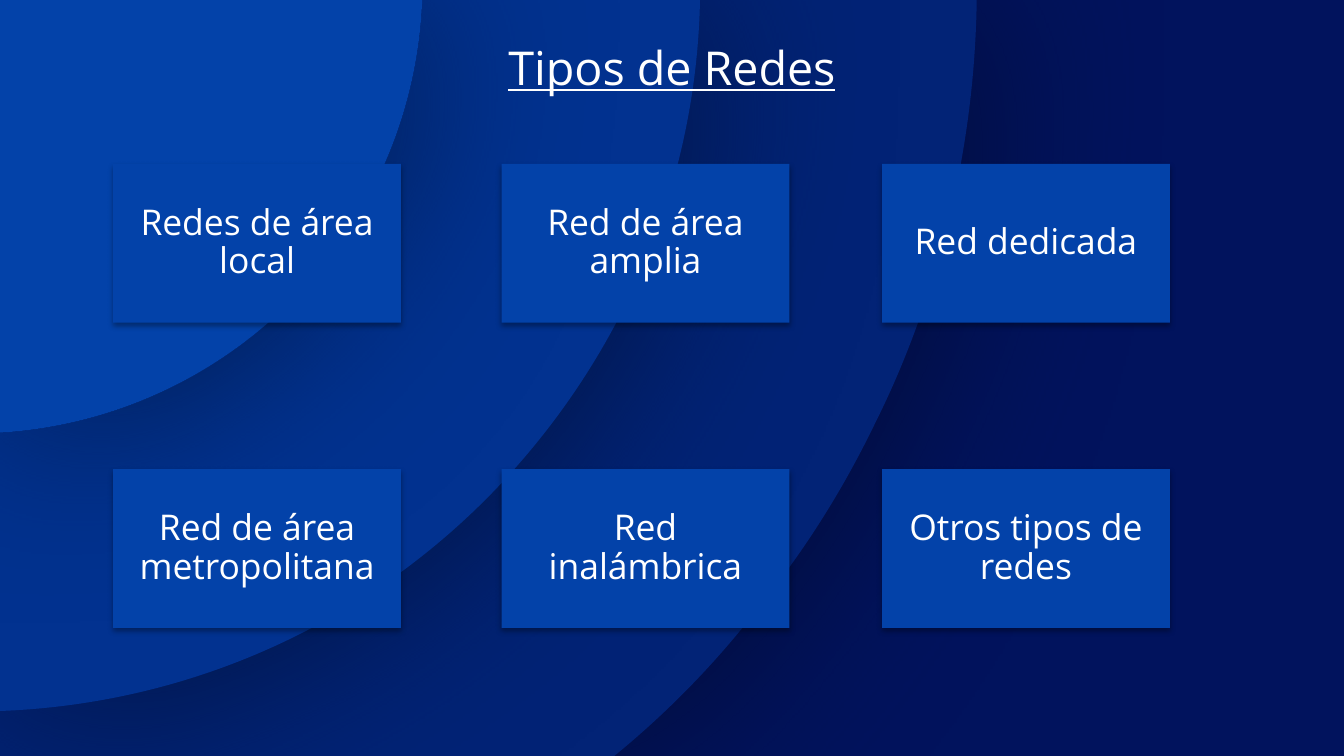
"""Build the slide on types of networks."""
import pptx
import pptx.dml.color
import pptx.enum.shapes
import pptx.enum.text
import pptx.oxml
import pptx.oxml.ns
import pptx.util
from pptx.util import Cm

TITLE = "Tipos de Redes"
NETWORKS = [
    ["Redes de área local", "Red de área amplia", "Red dedicada"],
    ["Red de área metropolitana", "Red inalámbrica", "Otros tipos de redes"],
]
COLUMNS, ROWS = (2.14, 9.48, 16.67), (3.1, 8.87)
CARD_W, CARD_H = 5.44, 3.0
FONT, WHITE, BLUE, NAVY = "Open Sans", "FFFFFF", "0342A9", "01135D"

BANDS = [
    ("022376", [
        (0, 14.29), (0, 13.41),
        (3.51, 13.28, 6.78, 11.84, 9.25, 9.32),
        (11.71, 6.83, 13.13, 3.51, 13.21, 0),
        (18.46, 0),
        (18.44, 1.42, 18.26, 2.82, 17.93, 4.17),
        (17.6, 5.51, 17.15, 6.78, 16.54, 8),
        (15.95, 9.22, 15.24, 10.36, 14.4, 11.4),
        (13.59, 12.47, 12.65, 13.44, 11.61, 14.29),
    ]),
    ("023290", [
        (0, 8.18),
        (2.11, 8.05, 4.09, 7.14, 5.56, 5.64),
        (7.04, 4.11, 7.9, 2.11, 7.98, 0),
        (13.23, 0),
        (13.16, 3.53, 11.73, 6.83, 9.27, 9.35),
        (6.81, 11.86, 3.51, 13.31, 0, 13.44),
    ]),
    (BLUE, [
        (0, 0), (7.98, 0),
        (7.9, 2.11, 7.04, 4.11, 5.56, 5.64),
        (4.09, 7.14, 2.11, 8.05, 0, 8.18),
    ]),
]


def rgb(value):
    return pptx.dml.color.RGBColor.from_string(value)


def add_band(shapes, path):
    start, *ends = [(Cm(seg[-2]), Cm(seg[-1])) for seg in path]
    outline = shapes.build_freeform(*start)
    outline.add_line_segments(ends, close=True)
    sp = outline.convert_to_shape()
    lines = list(sp._element.iter(pptx.oxml.ns.qn("a:lnTo")))
    for line, seg in zip(lines, path[1:]):
        if len(seg) == 6:
            points = "".join(f'<a:pt x="{Cm(x)}" y="{Cm(y)}"/>'
                             for x, y in zip(seg[::2], seg[1::2]))
            curve = pptx.oxml.parse_xml(
                f'<a:cubicBezTo {pptx.oxml.ns.nsdecls("a")}>{points}</a:cubicBezTo>')
            line.getparent().replace(line, curve)
    return sp


def paint(sp, fill, shade, alpha, blur, dist=0, angle=0):
    sp.fill.solid()
    sp.fill.fore_color.rgb = rgb(fill)
    sp.line.fill.background()
    sp.shadow.inherit = False
    effects = sp._element.spPr.find(pptx.oxml.ns.qn("a:effectLst"))
    effects.append(pptx.oxml.parse_xml(
        f'<a:outerShdw {pptx.oxml.ns.nsdecls("a")} blurRad="{pptx.util.Pt(blur)}" '
        f'dist="{pptx.util.Pt(dist)}" dir="{angle * 60000}" algn="ctr" rotWithShape="0">'
        f'<a:srgbClr val="{shade}"><a:alpha val="{alpha * 1000}"/></a:srgbClr></a:outerShdw>'))


def write(sp, text, size, underline=None, spacing=None, inset=None):
    tf = sp.text_frame
    tf.word_wrap = True
    if inset is not None:
        tf.margin_left = tf.margin_right = tf.margin_top = tf.margin_bottom = Cm(inset)
    p = tf.paragraphs[0]
    p.alignment = pptx.enum.text.PP_ALIGN.CENTER
    p.line_spacing = spacing
    r = p.add_run()
    r.text = text
    r.font.name, r.font.size, r.font.underline = FONT, pptx.util.Pt(size), underline
    r.font.color.rgb = rgb(WHITE)
    return tf


prs = pptx.Presentation()
prs.slide_width, prs.slide_height = Cm(25.4), Cm(14.29)
s = prs.slides.add_slide(prs.slide_layouts[6])
s.background.fill.solid()
s.background.fill.fore_color.rgb = rgb(NAVY)

for color, path in BANDS:
    paint(add_band(s.shapes, path), color, "01050E", 50, 112.5)

for top, names in zip(ROWS, NETWORKS):
    for left, name in zip(COLUMNS, names):
        sp = s.shapes.add_shape(pptx.enum.shapes.MSO_SHAPE.RECTANGLE,
                                Cm(left), Cm(top), Cm(CARD_W), Cm(CARD_H))
        paint(sp, BLUE, "000000", 35, 3.1, 1.8, 90)
        tf = write(sp, name, 19, spacing=0.9, inset=0.43)
        tf.vertical_anchor = pptx.enum.text.MSO_ANCHOR.MIDDLE

sp = s.shapes.add_textbox(Cm(8.74), Cm(0.61), Cm(7.92), Cm(1.32))
tf = write(sp, TITLE, 25, underline=True)
tf.auto_size = pptx.enum.text.MSO_AUTO_SIZE.SHAPE_TO_FIT_TEXT

prs.save("out.pptx")
